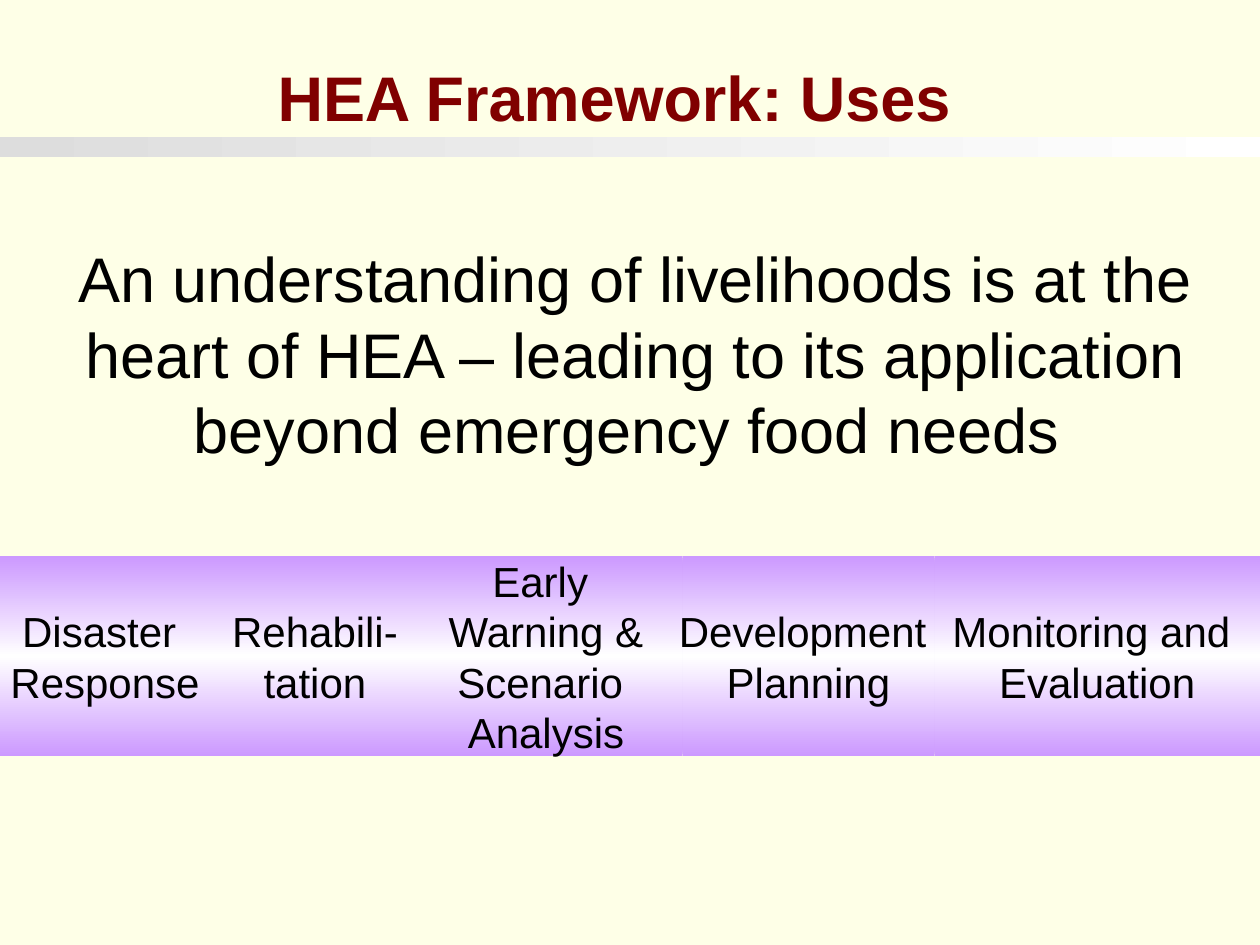
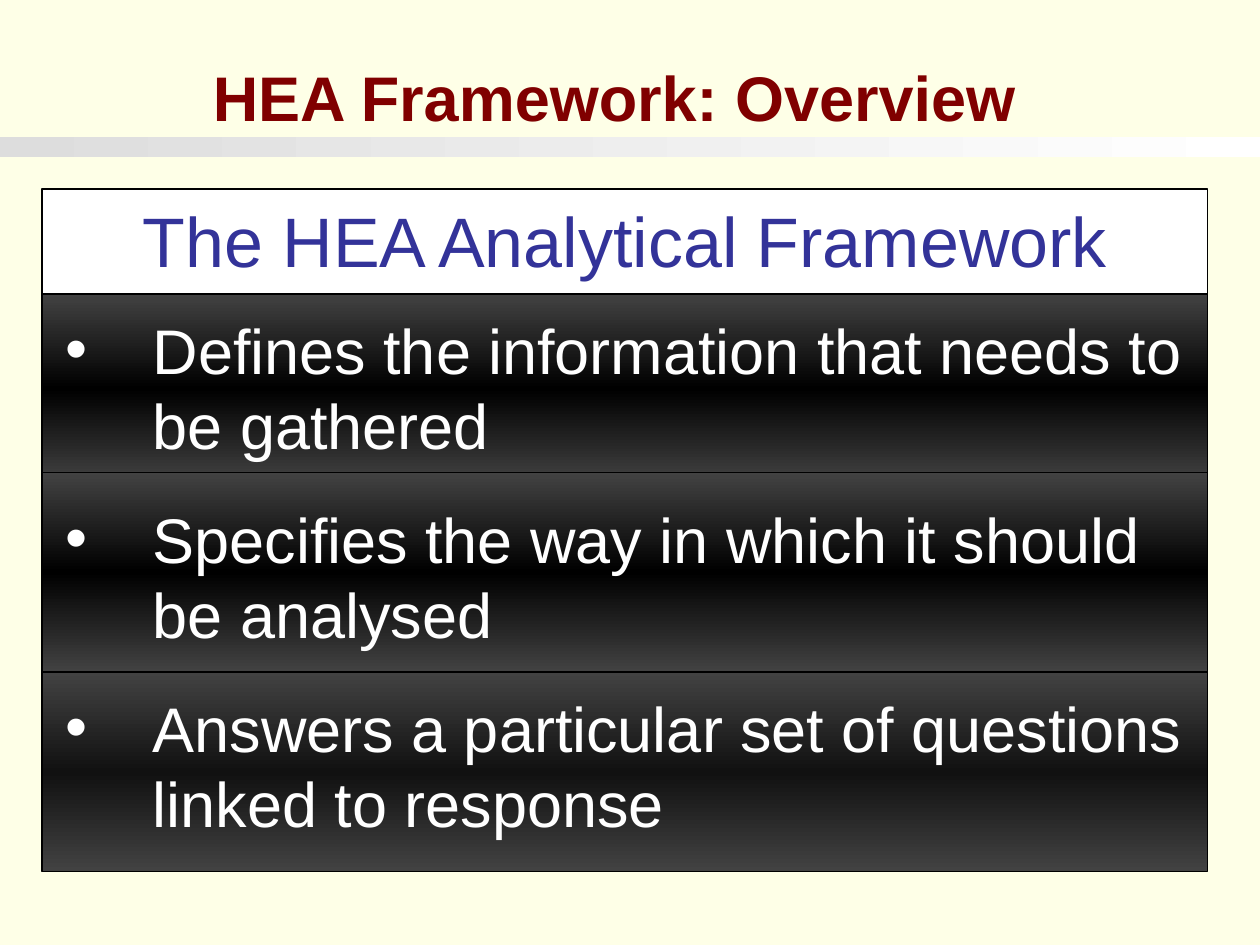
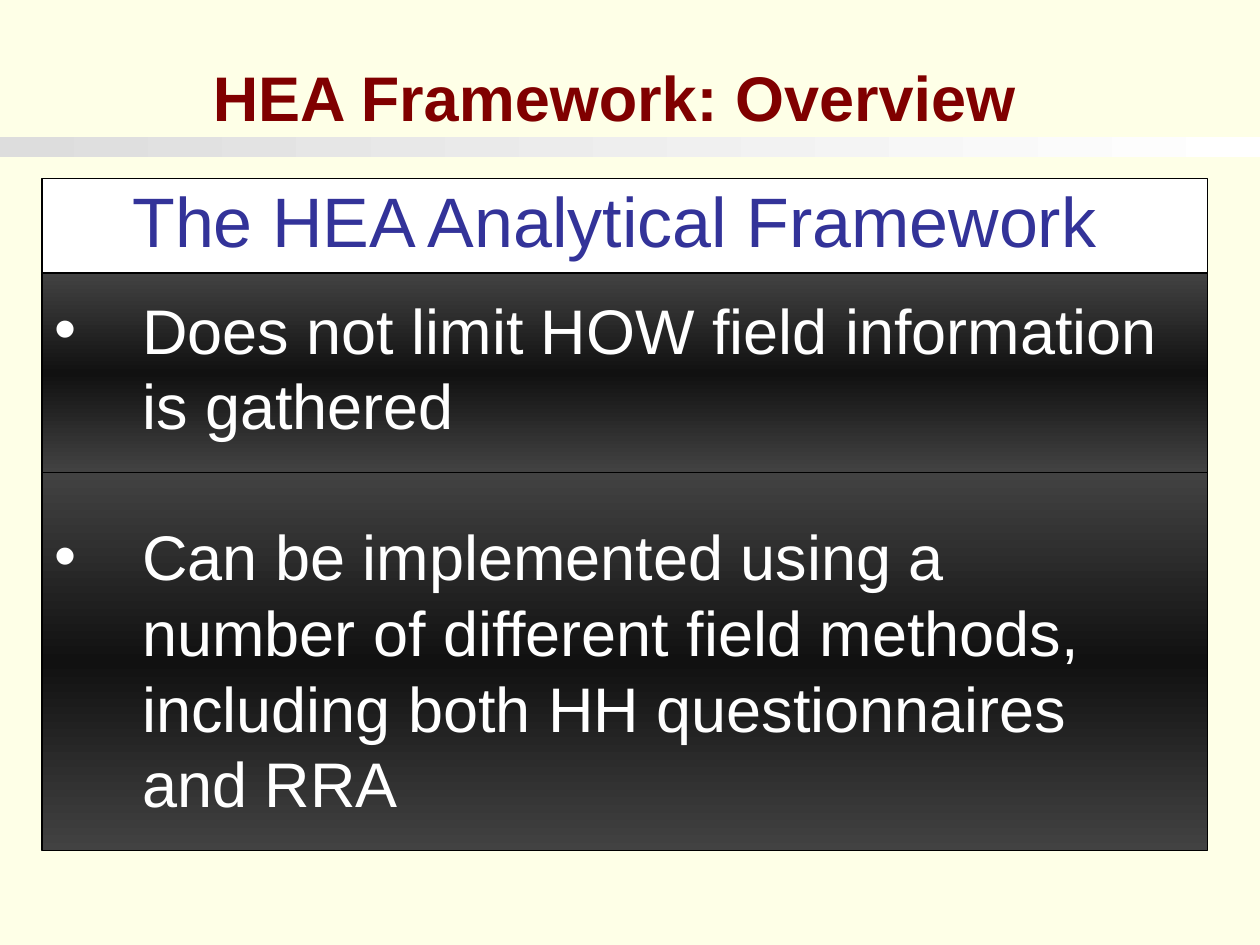
from dataclasses import dataclass

from lxml import etree
from pptx import Presentation
from pptx.dml.color import RGBColor
from pptx.enum import shapes, text
from pptx.oxml import ns
from pptx.util import Pt


@dataclass(frozen=True)
class Theme:
    font: str = "Arial"
    background: str = "FEFFE7"
    title: str = "800000"
    heading: str = "333399"
    dark: str = "000000"
    light: str = "FFFFFF"
    band: tuple = ("DDDDDD", "FFFFFF")
    use: tuple = ("CC99FF", "FFFFFF", "CC99FF")
    black_panel: tuple = ("424242", "000000", "424242")
    grey_panel: tuple = ("424242", "111111", "424242")
    heading_size: int = 40
    body_size: int = 36
    use_size: int = 24


THEME = Theme()
TITLE_BOX = (0, 30, 702, 50.4)
BAND_BOX = (0, 78, 720, 12)
PANEL_LEFT, PANEL_WIDTH = 24, 666
USES_TOP, USES_HEIGHT = 318, 114
BULLET_INDENT = 50

STATEMENT = ("An understanding of livelihoods is at the heart of HEA – leading to "
             "its application beyond emergency food needs ")
STATEMENT_BOX = (30, 133.2, 666, 136.8)
USES = [
    (0, 120, "Disaster \nResponse"),
    (120, 120, "Rehabili-\ntation"),
    (234, 156, "Early \nWarning &\nScenario \nAnalysis"),
    (390, 144, "Development \nPlanning"),
    (534, 186, "Monitoring and \nEvaluation"),
]
FRAMEWORK_HEADING = "The HEA Analytical Framework"
FRAMEWORKS = [
    {
        "box": (30, 109.4, 654, 374.4),
        "panels": [
            (108, 60, THEME.light),
            (168, 108, THEME.black_panel),
            (270, 114, THEME.black_panel),
            (384, 114, THEME.grey_panel),
        ],
        "points": [
            (16.8, "Defines the information that needs to be gathered"),
            (21.6, "Specifies the way in which it should be analysed"),
            (21.6, "Answers a particular set of questions linked to response"),
        ],
    },
    {
        "box": (24, 97.9, 654, 418),
        "panels": [
            (102, 54, THEME.light),
            (156, 114, THEME.grey_panel),
            (270, 216, THEME.grey_panel),
        ],
        "points": [
            (16.8, "Does not limit HOW field information is gathered"),
            (43.2, "Can be implemented using a number of different field methods, "
                   "including both HH questionnaires and RRA"),
        ],
    },
]


def color(value):
    return RGBColor.from_string(value)


def set_gradient(fill, colors, angle):
    fill.gradient()
    fill.gradient_angle = angle
    stops = fill._fill._gradFill.find(ns.qn("a:gsLst"))
    for stop in list(stops):
        stops.remove(stop)
    for index, value in enumerate(colors):
        position = 100000 * index // (len(colors) - 1)
        stop = etree.SubElement(stops, ns.qn("a:gs"), pos=str(position))
        etree.SubElement(stop, ns.qn("a:srgbClr"), val=value)


def add_rectangle(slide, box, fill, angle=90, outlined=False):
    shape = slide.shapes.add_shape(shapes.MSO_SHAPE.RECTANGLE, *map(Pt, box))
    shape.shadow.inherit = False
    if isinstance(fill, tuple):
        set_gradient(shape.fill, fill, angle)
    else:
        shape.fill.solid()
        shape.fill.fore_color.rgb = color(fill)
    if outlined:
        shape.line.color.rgb = color(THEME.dark)
        shape.line.width = Pt(0.75)
    else:
        shape.line.fill.background()
    return shape


def format_paragraph(paragraph, size, value, bold=False,
                     alignment=text.PP_ALIGN.CENTER, before=0):
    paragraph.alignment = alignment
    paragraph.space_before = Pt(before)
    for run in paragraph.runs:
        run.font.name = THEME.font
        run.font.size = Pt(size)
        run.font.bold = bold
        run.font.color.rgb = color(value)


def set_bullet(paragraph, bulleted):
    properties = paragraph._p.get_or_add_pPr()
    indent = Pt(BULLET_INDENT) if bulleted else 0
    properties.set("marL", str(indent))
    properties.set("indent", str(-indent))
    if bulleted:
        etree.SubElement(properties, ns.qn("a:buChar"), char="•")
    else:
        etree.SubElement(properties, ns.qn("a:buNone"))


def place(slide, placeholder, box, lines):
    placeholder.left, placeholder.top, placeholder.width, placeholder.height = map(Pt, box)
    slide.shapes._spTree.append(placeholder._element)
    frame = placeholder.text_frame
    frame.text = "\n".join(lines)
    frame.word_wrap = True
    frame.auto_size = text.MSO_AUTO_SIZE.NONE
    frame.vertical_anchor = text.MSO_ANCHOR.TOP
    return frame.paragraphs


def add_slide(presentation):
    return presentation.slides.add_slide(presentation.slide_layouts[1])


def finish(slide, title):
    paragraph = place(slide, slide.shapes.title, TITLE_BOX, [title])[0]
    format_paragraph(paragraph, THEME.body_size, THEME.title, bold=True)
    add_rectangle(slide, BAND_BOX, THEME.band, angle=0)


def build_uses(presentation):
    slide = add_slide(presentation)
    paragraph = place(slide, slide.placeholders[1], STATEMENT_BOX, [STATEMENT])[0]
    format_paragraph(paragraph, THEME.body_size, THEME.dark)
    set_bullet(paragraph, False)
    for left, width, label in USES:
        shape = add_rectangle(slide, (left, USES_TOP, width, USES_HEIGHT), THEME.use)
        frame = shape.text_frame
        frame.text = label
        frame.word_wrap = False
        frame.vertical_anchor = text.MSO_ANCHOR.MIDDLE
        for paragraph in frame.paragraphs:
            format_paragraph(paragraph, THEME.use_size, THEME.dark)
    finish(slide, "HEA Framework: Uses")


def build_framework(presentation, framework):
    slide = add_slide(presentation)
    for top, height, fill in framework["panels"]:
        add_rectangle(slide, (PANEL_LEFT, top, PANEL_WIDTH, height), fill, outlined=True)
    points = framework["points"]
    lines = [FRAMEWORK_HEADING] + [point for _, point in points]
    heading, *bullets = place(slide, slide.placeholders[1], framework["box"], lines)
    format_paragraph(heading, THEME.heading_size, THEME.heading)
    set_bullet(heading, False)
    for paragraph, (before, _) in zip(bullets, points):
        format_paragraph(paragraph, THEME.body_size, THEME.light,
                         alignment=text.PP_ALIGN.LEFT, before=before)
        set_bullet(paragraph, True)
    finish(slide, "HEA Framework: Overview")


def main():
    presentation = Presentation()
    presentation.slide_width, presentation.slide_height = Pt(720), Pt(540)
    background = presentation.slide_master.background.fill
    background.solid()
    background.fore_color.rgb = color(THEME.background)
    build_uses(presentation)
    for framework in FRAMEWORKS:
        build_framework(presentation, framework)
    presentation.save("out.pptx")


if __name__ == "__main__":
    main()
